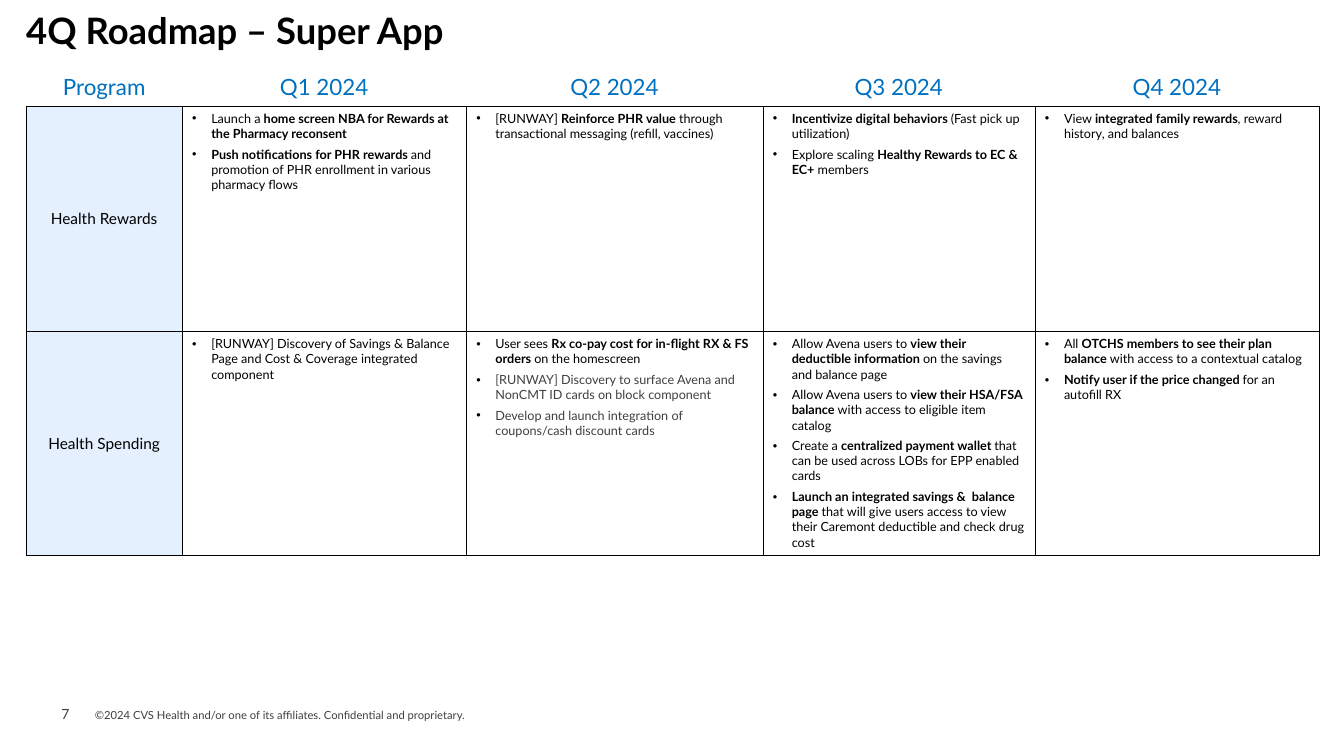
"""Build the 4Q Super App roadmap slide."""
import pptx
import pptx.dml.color
import pptx.enum.text
import pptx.oxml
import pptx.oxml.ns
import pptx.util
from pptx.util import Cm, Pt

BLACK = pptx.dml.color.RGBColor(0x00, 0x00, 0x00)
GREY = pptx.dml.color.RGBColor(0x3F, 0x3F, 0x3F)
BLUE = pptx.dml.color.RGBColor(0x00, 0x70, 0xC0)
PALE_BLUE = pptx.dml.color.RGBColor(0xE4, 0xF0, 0xFD)
WHITE = pptx.dml.color.RGBColor(0xFF, 0xFF, 0xFF)
FONT = "Lato"
MIDDLE = pptx.enum.text.MSO_ANCHOR.MIDDLE
NO_STYLE = "{2D5ABB26-0587-4C30-8999-92F81FD0307C}"
NAMESPACE = pptx.oxml.ns.nsdecls("a")

HEADINGS = ["Program", "Q1 2024", "Q2 2024", "Q3 2024", "Q4 2024"]
# ** encloses bold words and a leading ~ marks a grey item
PROGRAMS = {
    "Health Rewards": [
        ["Launch a** home screen NBA for Rewards at the Pharmacy reconsent**",
         "**Push notifications for PHR rewards **and promotion of PHR enrollment in various pharmacy flows"],
        ["[RUNWAY] **Reinforce PHR value** through transactional messaging (refill, vaccines)"],
        ["**Incentivize digital behaviors **(Fast pick up utilization)",
         "Explore scaling **Healthy Rewards to EC & EC+** members"],
        ["View **integrated family rewards**, reward history, and balances"],
    ],
    "Health Spending": [
        ["[RUNWAY] Discovery of Savings & Balance Page and Cost & Coverage integrated component"],
        ["User sees **Rx co-pay cost for in-flight RX & FS orders **on the homescreen",
         "~[RUNWAY] Discovery to surface Avena and NonCMT ID cards on block component",
         "~Develop and launch integration of coupons/cash discount cards"],
        ["Allow Avena users to **view their deductible information **on the savings and balance page",
         "Allow Avena users to **view their HSA/FSA balance **with access to eligible item catalog",
         "Create a **centralized payment wallet **that can be used across LOBs for EPP enabled cards",
         "**Launch an integrated savings &  balance page **that will give users access to view "
         "their Caremont deductible and check drug cost"],
        ["All **OTCHS members to see their plan balance **with access to a contextual catalog",
         "**Notify user if the price changed **for an autofill RX"],
    ],
}


def style(run, size, colour, bold=False):
    run.font.name = FONT
    run.font.size = Pt(size)
    run.font.color.rgb = colour
    run.font.bold = bold


def border(cell, sides):
    for side in sides:
        cell._tc.get_or_add_tcPr().append(pptx.oxml.parse_xml(
            f'<a:ln{side} {NAMESPACE} w="3175"><a:solidFill><a:srgbClr val="{BLACK}"/>'
            f'</a:solidFill></a:ln{side}>'))


deck = pptx.Presentation()
deck.slide_width, deck.slide_height = Cm(33.87), Cm(19.05)
slide = deck.slides.add_slide(deck.slide_layouts[6])

TOP = pptx.enum.text.MSO_ANCHOR.TOP
for wording, left, top, width, height, size, colour, bold, anchor in [
    ("7", 1.55, 17.68, 0.99, 0.64, 10, GREY, False, MIDDLE),
    ("©2024 CVS Health and/or one of its affiliates. Confidential and proprietary.",
     2.39, 17.86, 22.35, 0.33, 8, GREY, False, pptx.enum.text.MSO_ANCHOR.BOTTOM),
    ("4Q Roadmap – Super App", 0.66, 0.33, 30.45, 1.98, 26, BLACK, True, TOP),
]:
    frame = slide.shapes.add_textbox(Cm(left), Cm(top), Cm(width), Cm(height)).text_frame
    frame.word_wrap = True
    frame.vertical_anchor = anchor
    frame.margin_left = frame.margin_right = frame.margin_top = frame.margin_bottom = 0
    frame.text = wording
    frame.paragraphs[0].line_spacing = 0.9 if bold else 1.0
    style(frame.paragraphs[0].runs[0], size, colour, bold)

roadmap = slide.shapes.add_table(3, 5, Cm(0.66), Cm(1.73), Cm(32.56), Cm(12.23)).table
roadmap.first_row = roadmap.horz_banding = False
roadmap._tbl.tblPr.find(pptx.oxml.ns.qn("a:tableStyleId")).text = NO_STYLE
for column, width in zip(roadmap.columns, [3.93, 7.16, 7.47, 6.86, 7.16]):
    column.width = Cm(width)
for row, height in zip(roadmap.rows, [0.94, 5.68, 5.61]):
    row.height = Cm(height)

for column, heading in enumerate(HEADINGS):
    cell = roadmap.cell(0, column)
    border(cell, "B")
    cell.fill.background()
    cell.margin_left = cell.margin_right = Cm(0.13)
    cell.vertical_anchor = MIDDLE
    cell.text_frame.text = heading
    cell.text_frame.paragraphs[0].alignment = pptx.enum.text.PP_ALIGN.CENTER
    style(cell.text_frame.paragraphs[0].runs[0], 16, BLUE)

for row, (program, quarters) in enumerate(PROGRAMS.items(), 1):
    cell = roadmap.cell(row, 0)
    border(cell, "LRTB")
    cell.fill.solid()
    cell.fill.fore_color.rgb = PALE_BLUE
    cell.vertical_anchor = MIDDLE
    cell.text_frame.text = program
    cell.text_frame.paragraphs[0].alignment = pptx.enum.text.PP_ALIGN.CENTER
    style(cell.text_frame.paragraphs[0].runs[0], 11, BLACK)

    for column, items in enumerate(quarters, 1):
        cell = roadmap.cell(row, column)
        border(cell, "LRTB")
        cell.fill.solid()
        cell.fill.fore_color.rgb = WHITE
        cell.text_frame.text = "\n".join(items)
        for paragraph, item in zip(cell.text_frame.paragraphs, items):
            properties = paragraph._p.get_or_add_pPr()
            properties.set("marL", str(Cm(0.48)))
            properties.set("indent", str(-Cm(0.48)))
            for bullet in (f'<a:buClr {NAMESPACE}><a:srgbClr val="{BLACK}"/></a:buClr>',
                           f'<a:buFont {NAMESPACE} typeface="Arial"/>',
                           f'<a:buChar {NAMESPACE} char="•"/>'):
                properties.append(pptx.oxml.parse_xml(bullet))
            paragraph.space_after = Pt(4)
            paragraph.text = ""
            for position, words in enumerate(item.lstrip("~").split("**")):
                if words:
                    run = paragraph.add_run()
                    run.text = words
                    style(run, 9, GREY if item.startswith("~") else BLACK, position % 2 == 1)

deck.save("out.pptx")
